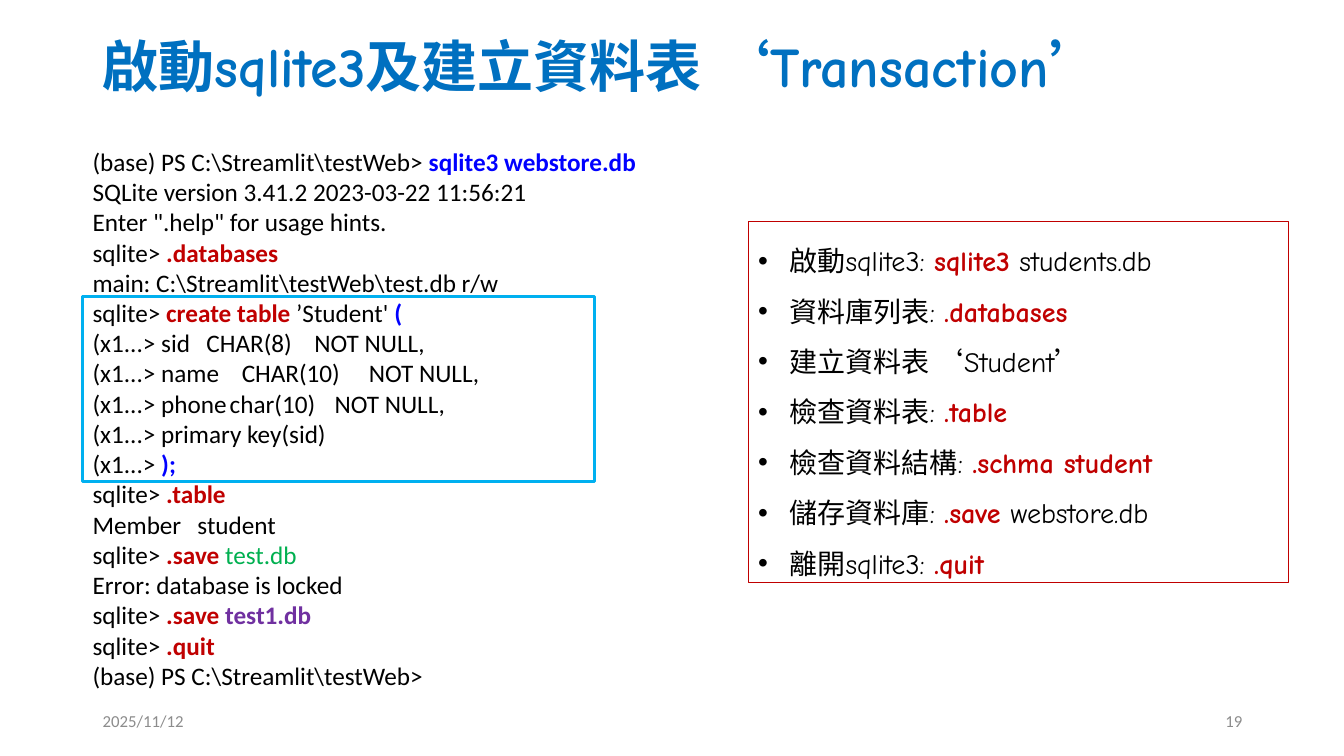
from pptx import Presentation
from pptx.dml.color import RGBColor
from pptx.enum.shapes import MSO_SHAPE as Shape
from pptx.enum.text import MSO_ANCHOR as Anchor, MSO_AUTO_SIZE as AutoSize, PP_ALIGN as Align
from pptx.oxml.ns import qn
from pptx.util import Inches, Pt
from lxml.etree import SubElement

BLACK = RGBColor(0x00, 0x00, 0x00)
BLUE = RGBColor(0x00, 0x00, 0xFF)
RED = RGBColor(0xC0, 0x00, 0x00)
GREEN = RGBColor(0x00, 0xB0, 0x50)
PURPLE = RGBColor(0x70, 0x30, 0xA0)
TITLE_BLUE = RGBColor(0x00, 0x70, 0xC0)
FRAME_BLUE = RGBColor(0x00, 0xB0, 0xF0)
GREY = RGBColor(0x8C, 0x8C, 0x8C)

CODE_FONT = "Calibri"
NOTE_FONT = "Comic Neue"
PROMPT = "sqlite> "
MORE = "(x1...> "

SESSION = [
    ["(base) PS C:\\Streamlit\\testWeb> ", ("sqlite3 webstore.db", BLUE)],
    ["SQLite version 3.41.2 2023-03-22 11:56:21"],
    ['Enter ".help" for usage hints.'],
    [PROMPT, (".databases", RED)],
    ["main: C:\\Streamlit\\testWeb\\test.db r/w"],
    [PROMPT, ("create table ", RED), "’Student' ", ("(", BLUE)],
    [MORE + "sid\tCHAR(8)\tNOT NULL,"],
    [MORE + "name\tCHAR(10)\tNOT NULL,"],
    [MORE + "phone\tchar(10)\tNOT NULL,"],
    [MORE + "primary key(sid)"],
    [MORE, (");", BLUE)],
    [PROMPT, (".table", RED)],
    ["Member\tstudent"],
    [PROMPT, (".save ", RED), ("test.db", GREEN, False)],
    ["Error: database is locked"],
    [PROMPT, (".save ", RED), ("test1.db", PURPLE)],
    [PROMPT, (".quit", RED)],
    ["(base) PS C:\\Streamlit\\testWeb>"],
]
TAB_STOPS = {6: (1.13, 2.2), 7: (1.48, 2.74), 8: (1.36, 2.4), 12: (1.04,)}

COMMANDS = [
    ["啟動sqlite3: ", ("sqlite3", RED), " students.db"],
    ["資料庫列表: ", (".databases", RED)],
    ["建立資料表 ‘Student’"],
    ["檢查資料表: ", (".table", RED)],
    ["檢查資料結構: ", (".schma student", RED)],
    ["儲存資料庫: ", (".save ", RED), "webstore.db"],
    ["離開sqlite3: ", (".quit", RED)],
]


def place(shape, box):
    shape.left, shape.top, shape.width, shape.height = map(Inches, box)


def add_span(para, text, font=CODE_FONT, size=18, color=BLACK, bold=False):
    span = para.add_run()
    span.text = text
    span.font.name = font
    span.font.size = Pt(size)
    span.font.color.rgb = color
    span.font.bold = bold


def add_lines(frame, lines, **style):
    for index, line in enumerate(lines):
        para = frame.paragraphs[0] if index == 0 else frame.add_paragraph()
        for part in line:
            text, color, bold = part, BLACK, False
            if isinstance(part, tuple):
                text, color, bold = (*part, True)[:3]
            add_span(para, text, color=color, bold=bold, **style)


def set_tabs(para, stops):
    tabs = SubElement(para._p.get_or_add_pPr(), qn("a:tabLst"))
    for stop in stops:
        SubElement(tabs, qn("a:tab"), pos=str(Inches(stop)), algn="l")


def set_bullet(para):
    props = para._p.get_or_add_pPr()
    props.set("marL", str(Inches(0.31)))
    props.set("indent", str(-Inches(0.31)))
    SubElement(props, qn("a:buFont"), typeface="Arial")
    SubElement(props, qn("a:buChar"), char="•")


def fill_title(page, box):
    title = page.shapes.title
    place(title, box)
    frame = title.text_frame
    frame.auto_size = AutoSize.NONE
    frame.vertical_anchor = Anchor.MIDDLE
    para = frame.paragraphs[0]
    para.alignment = Align.LEFT
    para.line_spacing = 0.9
    add_span(para, "啟動sqlite3及建立資料表 ‘Transaction’",
             font=NOTE_FONT, size=40, color=TITLE_BLUE, bold=True)


def add_session(page, box):
    left, top, width, height = box
    frame = page.shapes.add_textbox(*map(Inches, box)).text_frame
    frame.word_wrap = False
    add_lines(frame, SESSION)
    for index, stops in TAB_STOPS.items():
        set_tabs(frame.paragraphs[index], stops)

    row = (height - 0.1) / len(SESSION)
    outline = page.shapes.add_shape(
        Shape.RECTANGLE, Inches(left), Inches(top + 0.03 + 5 * row),
        Inches(width * 0.9), Inches(6 * row + 0.02))
    outline.shadow.inherit = False
    outline.fill.background()
    outline.line.color.rgb = FRAME_BLUE
    outline.line.width = Pt(2.25)


def fill_commands(page, box):
    body = page.placeholders[1]
    place(body, box)
    body.line.color.rgb = RED
    body.line.width = Pt(0.75)
    frame = body.text_frame
    frame.auto_size = AutoSize.NONE
    frame.vertical_anchor = Anchor.TOP
    add_lines(frame, COMMANDS, font=NOTE_FONT, size=20)
    for para in frame.paragraphs:
        para.line_spacing = 1.5
        para.space_before = Pt(0)
        set_bullet(para)


def add_footer(page, box):
    left, top, width, height = box
    part_width = 3
    parts = [("2025/11/12", left, Align.LEFT),
             ("19", left + width - part_width, Align.RIGHT)]
    for text, x, alignment in parts:
        part = page.shapes.add_textbox(*map(Inches, (x, top, part_width, height)))
        frame = part.text_frame
        frame.word_wrap = True
        frame.vertical_anchor = Anchor.MIDDLE
        para = frame.paragraphs[0]
        para.alignment = alignment
        add_span(para, text, size=12, color=GREY)


def main():
    deck = Presentation()
    deck.slide_width, deck.slide_height = Inches(13.33), Inches(7.5)
    page = deck.slides.add_slide(deck.slide_layouts[1])
    fill_title(page, (0.92, 0.23, 11.5, 0.92))
    add_session(page, (0.82, 1.4, 5.64, 5.55))
    fill_commands(page, (7.42, 2.2, 5.36, 3.58))
    add_footer(page, (0.92, 6.95, 11.5, 0.4))
    deck.save("out.pptx")


if __name__ == "__main__":
    main()
